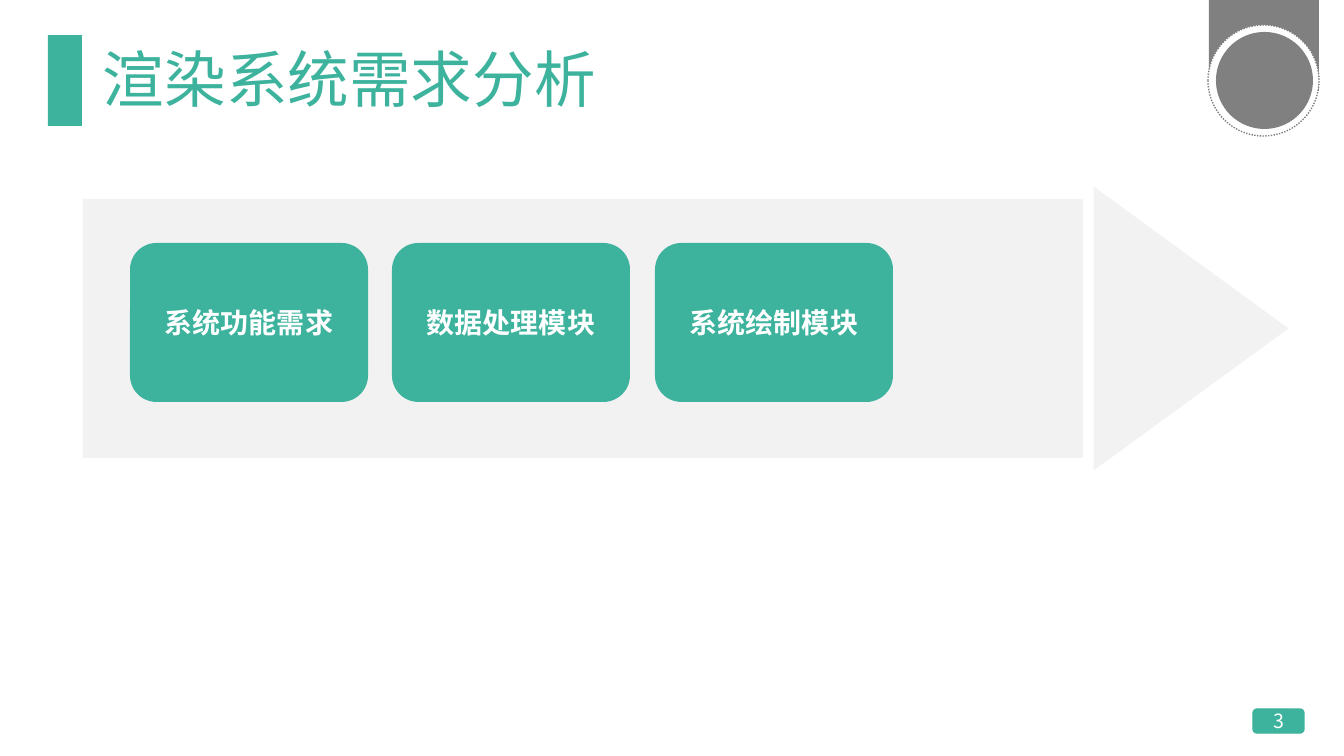
from pptx import Presentation
from pptx.dml.color import RGBColor
from pptx.enum.dml import MSO_LINE
from pptx.enum.shapes import MSO_SHAPE as SHAPE
from pptx.enum.text import MSO_ANCHOR as ANCHOR, PP_ALIGN as ALIGN
from pptx.oxml.ns import qn
from pptx.util import Pt
from lxml import etree

PX = 9071
COLORS = {"green": "3DB39E", "gray": "808080", "pale": "F2F2F2", "white": "FFFFFF"}
CJK_FONT = "Noto Sans CJK SC"

deck = Presentation()
deck.slide_width, deck.slide_height = 1344 * PX, 756 * PX
page = deck.slides.add_slide(deck.slide_layouts[6])


def add_shape(kind, bounds, fill, line=None):
    shape = page.shapes.add_shape(kind, *[value * PX for value in bounds])
    shape.shadow.inherit = False
    shape.fill.solid()
    shape.fill.fore_color.rgb = RGBColor.from_string(COLORS[fill])
    if line:
        shape.line.color.rgb = RGBColor.from_string(COLORS[line])
        shape.line.width = Pt(1)
    else:
        shape.line.fill.background()
    return shape


def write(box, text, size, font, color, align, bold=False):
    frame = box.text_frame
    frame.word_wrap = True
    frame.vertical_anchor = ANCHOR.MIDDLE
    para = frame.paragraphs[0]
    para.alignment = align
    span = para.add_run()
    span.text = text
    span.font.size = Pt(size)
    span.font.name = font
    span.font.bold = bold
    span.font.color.rgb = RGBColor.from_string(COLORS[color])
    if font == CJK_FONT:
        etree.SubElement(span.font._element, qn("a:ea"), typeface=font)
    return para


add_shape(SHAPE.ROUNDED_RECTANGLE, (1253, 709, 51, 24), "green", "green")
add_shape(SHAPE.RECTANGLE, (48, 35, 34, 91), "green")

title = page.shapes.add_textbox(93 * PX, 40 * PX, 1159 * PX, 86 * PX)
title_para = write(title, "渲染系统需求分析", 44, CJK_FONT, "green", ALIGN.LEFT)
title_para.line_spacing = 0.9

page_number = page.shapes.add_textbox(1128 * PX, 701 * PX, 302 * PX, 40 * PX)
write(page_number, "3", 14, CJK_FONT, "white", ALIGN.CENTER)

add_shape(SHAPE.RECTANGLE, (1209, -1, 110, 92), "gray")
badge_ring = add_shape(SHAPE.OVAL, (1208, 25, 111, 111), "white", "gray")
badge_ring.line.dash_style = MSO_LINE.ROUND_DOT
add_shape(SHAPE.OVAL, (1216, 32, 97, 97), "gray")

add_shape(SHAPE.RECTANGLE, (83, 199, 1000, 259), "pale")
arrow_tip = add_shape(SHAPE.ISOSCELES_TRIANGLE, (1049, 231, 284, 195), "pale")
arrow_tip.rotation = 90

for index, label in enumerate(["系统功能需求", "数据处理模块", "系统绘制模块"]):
    left = 130 + index * 525 // 2
    card = add_shape(SHAPE.ROUNDED_RECTANGLE, (left, 243, 238, 159), "green")
    write(card, label, 20, "Calibri", "white", ALIGN.CENTER, bold=True)

deck.save("out.pptx")
